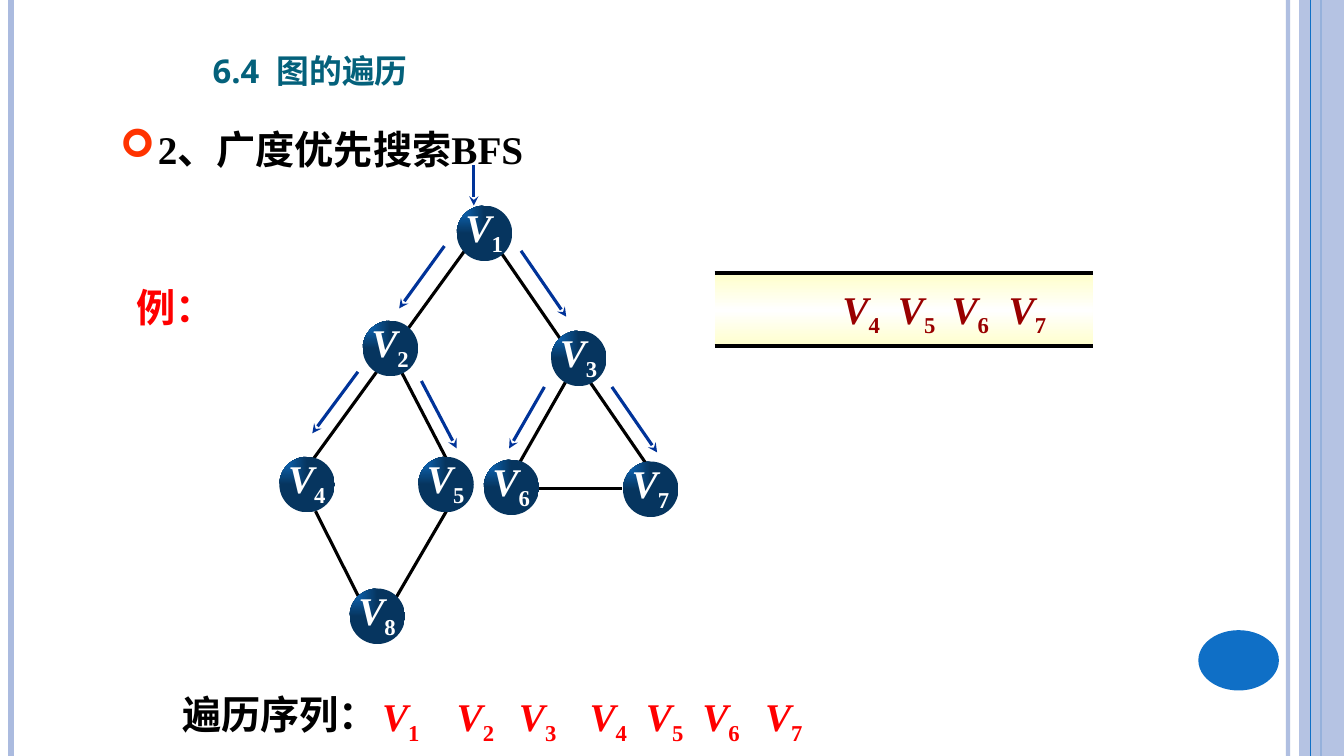
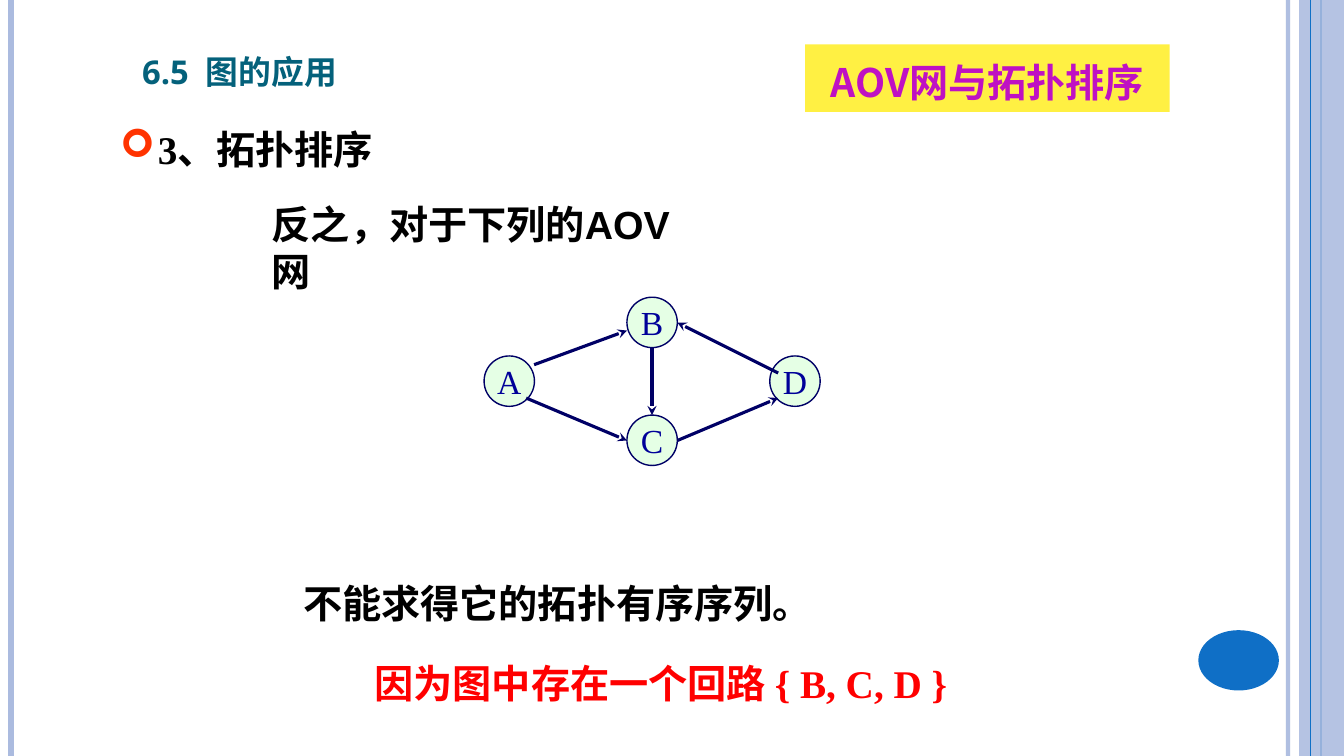
from pptx import Presentation
from pptx.dml.color import RGBColor
from pptx.enum import shapes, text
from pptx.oxml import parse_xml
from pptx.oxml.ns import nsdecls, qn
from pptx.util import Cm, Pt
from lxml import etree

THEME = {
    "color": {
        "band": "ABBBDF", "accent": "0F6FC6", "black": "000000", "red": "FF0000",
        "bullet": "FF3300", "arrow": "003399", "navy": "000066", "node": "06355F",
        "mint": "CCFFCC", "yellow": "FFF043", "cream": "FFFFCC", "white": "FFFFFF",
    },
    "font": {
        "title": dict(name="Noto Sans", size=Pt(29.2), bold=True, color="04617B"),
        "heading": dict(name="Times New Roman", size=Pt(28), bold=True, color="000000"),
        "body": dict(name="Arial", size=Pt(28), bold=True, color="000000"),
        "example": dict(name="Arial", size=Pt(28), bold=True, color="FF0000"),
        "reason": dict(name="Times New Roman", size=Pt(28), bold=True, color="FF0000"),
        "banner": dict(name="Noto Sans CJK SC", size=Pt(28), bold=True, color="BF11C3"),
        "vertex": dict(name="Times New Roman", size=Pt(28), bold=True, color="FFFFFF"),
        "visited": dict(name="Times New Roman", size=Pt(28), bold=True, color="FF0000"),
        "queued": dict(name="Times New Roman", size=Pt(28), bold=True, color="990000"),
        "activity": dict(name="Times New Roman", size=Pt(24), bold=False, color="000099"),
    },
    "east_asian": "Noto Sans CJK SC",
}
C = THEME["color"]
OVAL, RECT = shapes.MSO_SHAPE.OVAL, shapes.MSO_SHAPE.RECTANGLE
TOP, MIDDLE, BOTTOM = text.MSO_ANCHOR.TOP, text.MSO_ANCHOR.MIDDLE, text.MSO_ANCHOR.BOTTOM
CENTER = text.PP_ALIGN.CENTER


def add_line(group, ends, color, width, arrow=False, alpha=None):
    ln = group.add_connector(shapes.MSO_CONNECTOR.STRAIGHT, *[Cm(v) for v in ends])
    ln.line.color.rgb = RGBColor.from_string(color)
    ln.line.width = Pt(width)
    if alpha:
        clr = ln.line._ln.find(".//" + qn("a:srgbClr"))
        etree.SubElement(clr, qn("a:alpha")).set("val", str(alpha * 1000))
    if arrow:
        etree.SubElement(ln.line._ln, qn("a:tailEnd")).set("type", "stealth")
    etree.SubElement(ln._element.spPr, qn("a:effectLst"))


def add_box(group, at, runs=(), font=None, shape=None, fill=None, alpha=None, outline=None,
            inset=None, align=None, anchor=TOP, wrap=True):
    place = [Cm(v) for v in at]
    if shape is None:
        sp = group.add_textbox(*place)
    else:
        sp = group.add_shape(shape, *place)
        sp.shadow.inherit = False
        if isinstance(fill, str):
            sp.fill.solid()
            sp.fill.fore_color.rgb = RGBColor.from_string(fill)
            if alpha:
                clr = sp._element.spPr.find(".//" + qn("a:srgbClr"))
                etree.SubElement(clr, qn("a:alpha")).set("val", str(alpha * 1000))
        else:
            stops, direction = fill
            gs = "".join(f'<a:gs pos="{pos * 1000}"><a:srgbClr val="{c}"/></a:gs>' for pos, c in stops)
            sp.fill.background()
            spPr = sp._element.spPr
            spPr.replace(spPr.find(qn("a:noFill")), parse_xml(
                f'<a:gradFill {nsdecls("a")} rotWithShape="1"><a:gsLst>{gs}</a:gsLst>{direction}</a:gradFill>'))
        if outline:
            sp.line.color.rgb = RGBColor.from_string(outline)
            sp.line.width = Pt(1)
        else:
            sp.line.fill.background()
    if not runs:
        return sp
    tf = sp.text_frame
    frame = dict(word_wrap=wrap, vertical_anchor=anchor)
    if inset:
        sides = ("margin_left", "margin_top", "margin_right", "margin_bottom")
        frame.update(zip(sides, [Cm(v) for v in inset]))
    for name, value in frame.items():
        setattr(tf, name, value)
    p = tf.paragraphs[0]
    p.alignment = align
    for words, extra in runs:
        r = p.add_run()
        r.text = words
        for name, value in {**THEME["font"][font], **extra}.items():
            if name == "color":
                r.font.color.rgb = RGBColor.from_string(value)
            elif name in ("baseline", "cap"):
                r._r.get_or_add_rPr().set(name, value)
            else:
                setattr(r.font, name, value)
        ea = etree.Element(qn("a:ea"))
        ea.set("typeface", THEME["east_asian"])
        r._r.rPr.find(qn("a:latin")).addnext(ea)
    return sp


prs = Presentation()
prs.slide_width, prs.slide_height = Cm(33.87), Cm(19.05)

pages = []
for title, title_at, heading in (
    ("6.4  图的遍历", (5.11, 0.89, 12.4, 1.55), "2、广度优先搜索BFS"),
    ("6.5  图的应用", (3.33, 0.91, 8.64, 1.55), "3、拓扑排序"),
):
    s = prs.slides.add_slide(prs.slide_layouts[6]).shapes
    pages.append(s)
    for x, color, width, alpha in ((32.46, C["band"], 3, 93), (0.28, C["band"], 4.5, None),
                                   (33.3, C["accent"], 1.5, None)):
        add_line(s, (x, 0, x, 19.05), color, width, alpha=alpha)
    add_box(s, (32.74, 0, 1.13, 19.05), shape=RECT, fill=C["band"], alpha=87)
    add_line(s, (33.02, 0, 33.02, 19.05), C["accent"], 0.75)
    add_box(s, (30.2, 15.88, 2.03, 1.52), shape=OVAL, fill=C["accent"])
    add_box(s, title_at, [(title, dict(cap="small"))], "title", anchor=BOTTOM)
    sp = add_box(s, (2.78, 2.79, 11.96, 1.93), [(heading, {})], "heading")
    p = sp.text_frame.paragraphs[0]
    p.line_spacing = 1.2
    pPr = p._p.get_or_add_pPr()
    pPr.set("marL", str(Cm(0.95)))
    pPr.set("indent", str(Cm(-0.95)))
    for bullet in (f'<a:buClr {nsdecls("a")}><a:srgbClr val="{C["bullet"]}"/></a:buClr>',
                   f'<a:buFont {nsdecls("a")} typeface="Wingdings"/>',
                   f'<a:buChar {nsdecls("a")} char="➢"/>'):
        pPr.append(parse_xml(bullet))

bfs, aov = pages

add_box(bfs, (3.2, 7.11, 2.41, 1.27), [("例：", {})], "example", anchor=MIDDLE)
queue_fill = ([(0, C["cream"]), (50, C["white"]), (100, C["cream"])], '<a:lin ang="5400000" scaled="1"/>')
add_box(bfs, (18.01, 6.93, 9.53, 1.78), shape=RECT, fill=queue_fill)
for y in (6.88, 8.71):
    add_line(bfs, (18.01, y, 27.54, y), C["black"], 3)

for edge in ((11.25, 12.88, 9.98, 15.06), (12.65, 6.4, 16.28, 11.68), (11.71, 6.32, 7.9, 11.56),
             (10.13, 9.4, 11.25, 11.56), (14.25, 9.63, 13.11, 11.63), (15.67, 12.32, 13.56, 12.32),
             (7.95, 12.88, 9.04, 15.04)):
    add_line(bfs, edge, C["black"], 2.25)

node_fill = ([(0, C["accent"]), (100, C["node"])],
             '<a:path path="rect"><a:fillToRect r="100000" b="100000"/></a:path>')
vertices = ((11.51, 5.18), (9.14, 8.08), (13.89, 8.33), (7.04, 11.51),
            (10.54, 11.51), (12.19, 11.58), (15.7, 11.63), (8.81, 14.83))
for n, (x, y) in enumerate(vertices, 1):
    node = bfs.add_group_shape().shapes
    add_box(node, (x, y, 1.4, 1.4), shape=OVAL, fill=node_fill)
    add_box(node, (x + 0.19, y - 0.14, 1.3, 1.65), [("V", dict(italic=True)), (str(n), dict(baseline="-25000"))],
            "vertex", inset=(0.03, 0.08, 0, 0.03))

for step in ((11.94, 4.17, 11.94, 5.18), (11.2, 6.2, 10.06, 7.77), (13.13, 6.32, 14.27, 7.98),
             (9.02, 9.37, 7.87, 10.92), (10.62, 9.6, 11.51, 11.3), (13.72, 9.75, 12.83, 11.3),
             (15.42, 9.75, 16.56, 11.4)):
    add_line(bfs, step, C["arrow"], 2.25, arrow=True)

add_box(bfs, (4.34, 17.27, 6.05, 1.45), [("遍历序列：", {})], "body")
for font, first, y, lefts in (("visited", 1, 17.42, (9.58, 11.46, 13.03, 14.81, 16.23, 17.65, 19.23)),
                              ("queued", 4, 7.15, (21.18, 22.58, 23.93, 25.37))):
    for n, x in enumerate(lefts, first):
        add_box(bfs, (x, y, 1.57, 1.24), [("V", dict(italic=True)), (str(n), dict(baseline="-25000"))],
                font, inset=(0.05, 0.03, 0.05, 0.03))

banner = add_box(aov, (20.29, 1.12, 9.19, 1.7), [("AOV网与拓扑排序", {})], "banner", shape=RECT,
                 fill=C["yellow"], align=CENTER)
banner.text_frame.paragraphs[0].line_spacing = 1.2

for name, x, y in (("B", 15.8, 7.49), ("D", 19.4, 8.97), ("A", 12.2, 8.97), ("C", 15.8, 10.46)):
    add_box(aov, (x, y, 1.27, 1.27), [(name, {})], "activity", shape=OVAL, fill=C["mint"], alpha=50,
            outline=C["navy"], align=CENTER, anchor=MIDDLE, wrap=False)
for arc in ((13.46, 9.19, 15.8, 8.33), (13.26, 10.03, 15.8, 11.1), (17.07, 11.1, 19.61, 10.03),
            (19.61, 9.4, 17.07, 8.13), (16.43, 8.76, 16.43, 10.46)):
    add_line(aov, arc, C["navy"], 2.25, arrow=True)

for words, font, at in (
    ("反之，对于下列的AOV网", "body", (6.6, 4.93, 11.2, 1.45)),
    ("不能求得它的拓扑有序序列。", "heading", (7.39, 14.48, 13.41, 1.45)),
    ("因为图中存在一个回路 { B, C, D }", "reason", (9.19, 16.48, 15.16, 1.45)),
):
    add_box(aov, at, [(words, {})], font)

prs.save("out.pptx")
